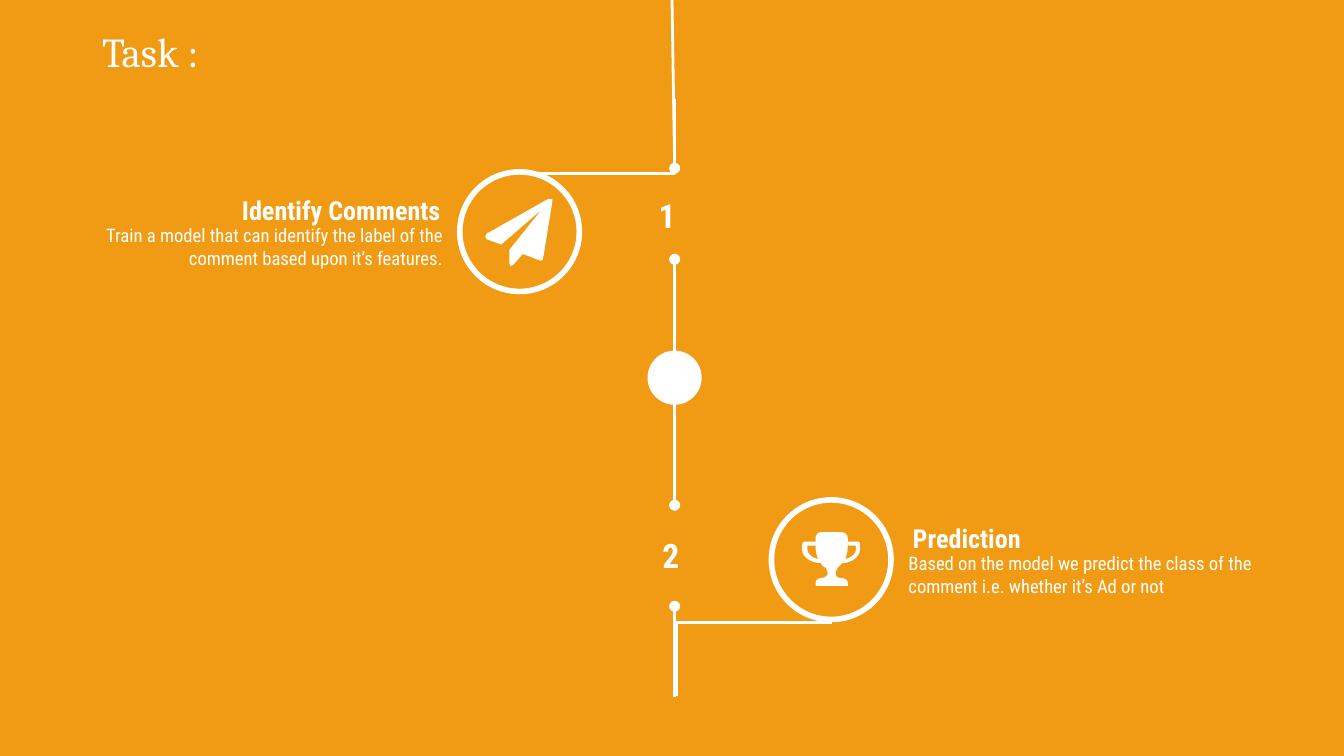
from dataclasses import dataclass

from lxml import etree
from pptx import Presentation
from pptx import util as u
from pptx.dml.color import RGBColor
from pptx.enum import shapes, text
from pptx.oxml import ns

Cm = u.Cm


@dataclass(frozen=True)
class Theme:
    orange: RGBColor = RGBColor(0xF1, 0x9B, 0x14)
    white: RGBColor = RGBColor(0xFF, 0xFF, 0xFF)
    title_font: str = "Cambria"
    body_font: str = "Roboto Condensed"
    title: int = 22
    number: int = 18
    heading: int = 14
    body: int = 10
    thin: float = 1.5
    thick: float = 3


@dataclass(frozen=True)
class Box:
    left: float
    top: float
    width: float
    height: float

    def lengths(self) -> tuple:
        return Cm(self.left), Cm(self.top), Cm(self.width), Cm(self.height)


@dataclass(frozen=True)
class Step:
    number: str
    number_box: Box
    heading: str
    heading_box: Box
    body: str
    body_box: Box
    align: text.PP_ALIGN
    ring: Box
    elbow_start: tuple
    elbow_end: tuple
    icon: list
    icon_at: tuple


@dataclass(frozen=True)
class Segment:
    start: tuple
    end: tuple
    head: bool = False
    tail: bool = False


THEME = Theme()
AXIS = 12.75
HUB_Y = 7.14
HUB_SIZE = 0.97
RING_SIZE = 2.26
SLIDE = Box(0, 0, 25.4, 14.29)

# Icon outlines in hundredths of an inch: a pair is a corner,
# six numbers are a cubic curve (two handles and its end)
PLANE = [
    [(50, 2), (43, 45), (42, 46), (41, 46), (28, 41), (21, 49), (19, 50), (18, 48), (18, 38),
     (42, 8), (12, 34), (1, 30), (0, 28), (1, 26), (47, 0), (49, 0), (50, 0)],
]
TROPHY = [
    [(43, 13), (43, 18, 37, 23, 30, 23), (28, 25, 27, 26, 27, 26), (26, 27, 25, 29, 25, 31),
     (25, 32, 26, 34, 28, 34), (31, 34, 34, 35, 34, 38), (34, 40), (10, 40), (10, 38),
     (10, 35, 13, 34, 15, 34), (17, 34, 19, 32, 19, 31), (19, 29, 18, 27, 17, 26),
     (16, 26, 15, 25, 14, 23), (6, 23, 0, 18, 0, 13), (0, 10), (0, 8, 1, 7, 2, 7),
     (10, 7), (10, 5), (10, 2, 12, 0, 14, 0), (29, 0), (32, 0, 34, 2, 34, 5),
     (34, 7), (41, 7), (43, 7, 43, 8, 43, 10)],
    [(10, 10), (4, 10), (4, 13), (4, 16, 7, 19, 12, 20), (11, 18, 10, 14, 10, 10)],
    [(40, 10), (34, 10), (34, 14, 33, 18, 32, 20), (37, 19, 40, 16, 40, 13)],
]

STEPS = [
    Step("1", Box(12.45, 3.68, 0.97, 0.76),
         "Identify Comments", Box(1.5, 3.66, 6.83, 0.61),
         "Train a model that can identify the label of the comment based upon it’s features.",
         Box(1.35, 4.24, 7.01, 0.86), text.PP_ALIGN.RIGHT,
         Box(8.69, 3.25, RING_SIZE, RING_SIZE), (9.82, 3.28), (AXIS, 1.88),
         PLANE, (9.17, 3.76)),
    Step("2", Box(12.52, 10.11, 0.97, 0.76),
         "Prediction", Box(17.25, 9.86, 2.44, 0.61),
         "Based on the model we predict the class of the comment i.e. whether it’s Ad or not",
         Box(17.17, 10.44, 7.01, 0.86), text.PP_ALIGN.LEFT,
         Box(14.58, 9.45, RING_SIZE, RING_SIZE), (15.72, 11.76), (12.79, 13.16),
         TROPHY, (15.16, 10.06)),
]

SEGMENTS = [
    Segment((AXIS, 11.46), (AXIS, 13.18), head=True),
    Segment((AXIS, HUB_Y), (AXIS, 9.55), head=True, tail=True),
    Segment((AXIS, 4.9), (AXIS, HUB_Y), head=True, tail=True),
    Segment((12.7, 0), (AXIS, 3.18), tail=True),
]


def add_text(page, words: str, box: Box, *, size: int, font: str = THEME.body_font,
             bold: bool = False, align=text.PP_ALIGN.LEFT,
             anchor=text.MSO_ANCHOR.MIDDLE) -> None:
    frame = page.shapes.add_textbox(*box.lengths()).text_frame
    frame.word_wrap = True
    frame.vertical_anchor = anchor
    frame.margin_left = frame.margin_right = frame.margin_top = frame.margin_bottom = 0
    para = frame.paragraphs[0]
    para.alignment = align
    span = para.add_run()
    span.text = words
    span.font.name, span.font.size, span.font.bold = font, u.Pt(size), bold
    span.font.color.rgb = THEME.white


def paint(shape, fill=None, line_width: float = 0) -> None:
    shape.shadow.inherit = False
    if fill is None:
        shape.fill.background()
    else:
        shape.fill.solid()
        shape.fill.fore_color.rgb = fill
    if line_width:
        shape.line.color.rgb = THEME.white
        shape.line.width = u.Pt(line_width)
    else:
        shape.line.fill.background()


def add_line(page, segment: Segment, bent: bool = False) -> None:
    kind = shapes.MSO_CONNECTOR.ELBOW if bent else shapes.MSO_CONNECTOR.STRAIGHT
    ends = [Cm(value) for value in segment.start + segment.end]
    line = page.shapes.add_connector(kind, *ends)
    line.line.color.rgb = THEME.white
    line.line.width = u.Pt(THEME.thin)
    properties = line._element.spPr
    if bent:  # a single corner
        properties.find(ns.qn("a:prstGeom")).set("prst", "bentConnector2")
    for tag, wanted in (("a:headEnd", segment.head), ("a:tailEnd", segment.tail)):
        if wanted:
            etree.SubElement(properties.find(ns.qn("a:ln")), ns.qn(tag), type="oval")
    etree.SubElement(properties, ns.qn("a:effectLst"))


def flatten(outline: list, pieces: int = 8) -> list:
    points = [outline[0]]
    for part in outline[1:]:
        if len(part) == 2:
            points.append(part)
            continue
        x0, y0 = points[-1]
        x1, y1, x2, y2, x3, y3 = part
        for index in range(1, pieces + 1):
            t = index / pieces
            a, b, c, d = (1 - t) ** 3, 3 * t * (1 - t) ** 2, 3 * t * t * (1 - t), t ** 3
            points.append((a * x0 + b * x1 + c * x2 + d * x3,
                           a * y0 + b * y1 + c * y2 + d * y3))
    return points


def add_icon(page, outlines: list, at: tuple) -> None:
    fine = 100  # the builder rounds to whole units
    contours = [[(x * fine, y * fine) for x, y in flatten(outline)] for outline in outlines]
    builder = page.shapes.build_freeform(*contours[0][0], scale=u.Inches(0.01) / fine)
    builder.add_line_segments(contours[0][1:], close=True)
    for contour in contours[1:]:
        builder.move_to(*contour[0])
        builder.add_line_segments(contour[1:], close=True)
    paint(builder.convert_to_shape(Cm(at[0]), Cm(at[1])), THEME.white)


def add_step(page, step: Step) -> None:
    add_text(page, step.number, step.number_box, size=THEME.number, bold=True)
    ring = page.shapes.add_shape(shapes.MSO_SHAPE.OVAL, *step.ring.lengths())
    paint(ring, line_width=THEME.thick)
    add_text(page, step.heading, step.heading_box, size=THEME.heading, bold=True,
             align=step.align)
    add_text(page, step.body, step.body_box, size=THEME.body, align=step.align,
             anchor=text.MSO_ANCHOR.TOP)
    add_line(page, Segment(step.elbow_start, step.elbow_end), bent=True)
    add_icon(page, step.icon, step.icon_at)


def main() -> None:
    deck = Presentation()
    deck.slide_width, deck.slide_height = Cm(SLIDE.width), Cm(SLIDE.height)
    page = deck.slides.add_slide(deck.slide_layouts[6])

    # Backdrop
    backdrop = page.shapes.add_shape(shapes.MSO_SHAPE.RECTANGULAR_CALLOUT, *SLIDE.lengths())
    paint(backdrop, THEME.orange)

    # Timeline and its hub
    for segment in SEGMENTS:
        add_line(page, segment)
    hub_box = Box(AXIS - HUB_SIZE / 2, HUB_Y - HUB_SIZE / 2, HUB_SIZE, HUB_SIZE)
    hub = page.shapes.add_shape(shapes.MSO_SHAPE.OVAL, *hub_box.lengths())
    paint(hub, THEME.white, THEME.thin)

    # Steps
    for step in STEPS:
        add_step(page, step)

    # Title
    add_text(page, " Task :", Box(0.56, 0.48, 4.39, 0.99), size=THEME.title,
             font=THEME.title_font, align=text.PP_ALIGN.CENTER)

    deck.save("out.pptx")


if __name__ == "__main__":
    main()
